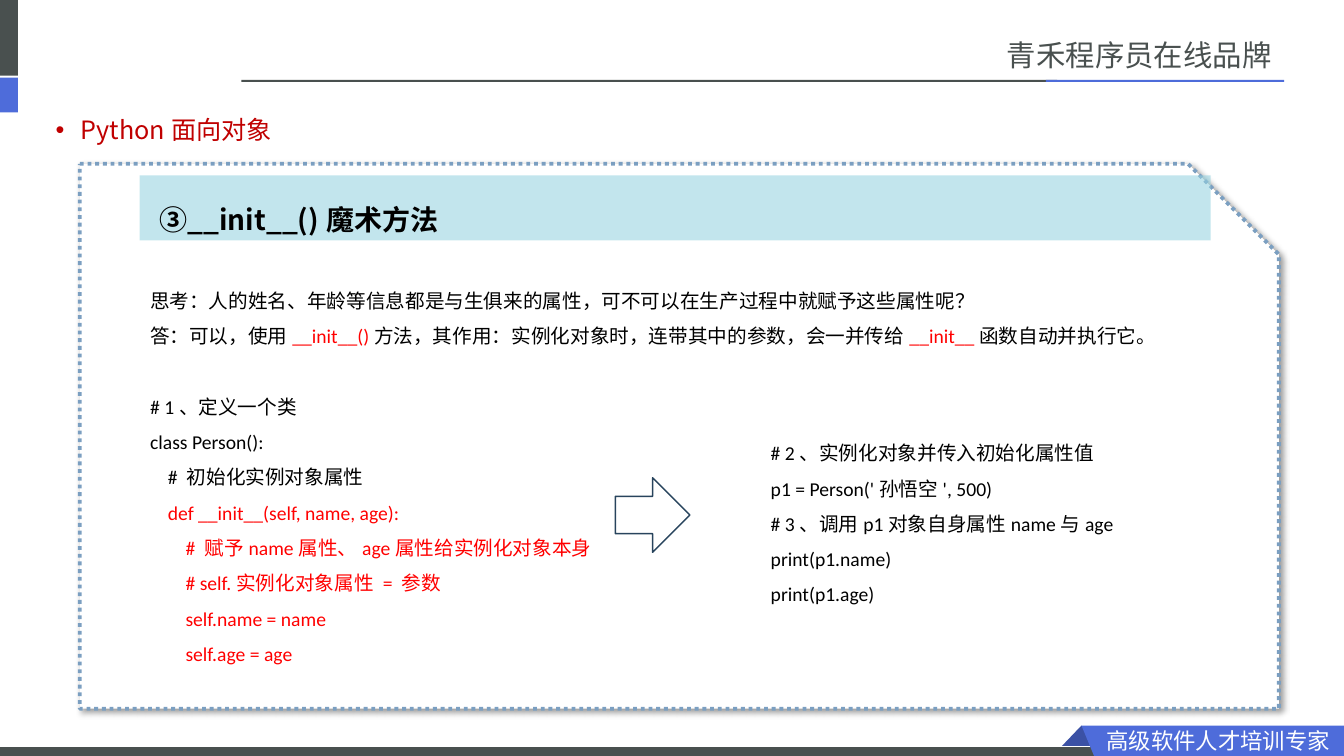
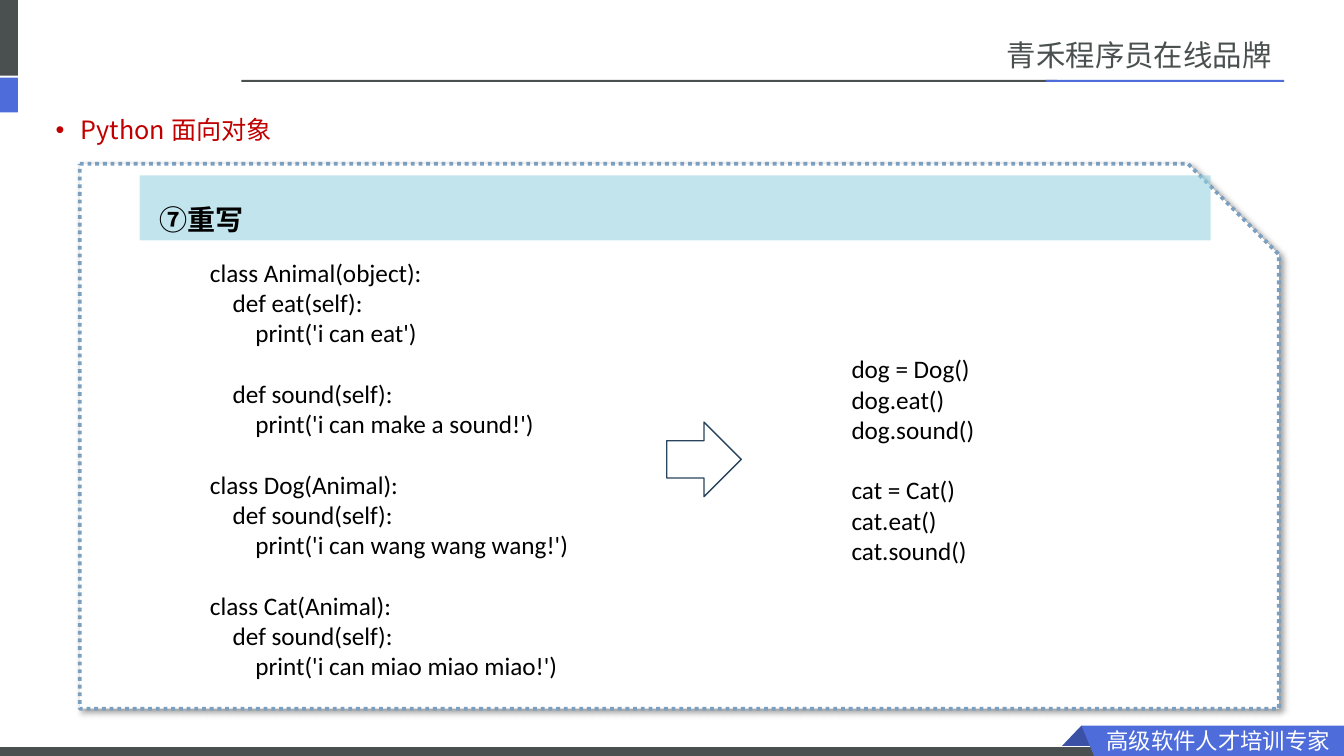
from dataclasses import dataclass

from lxml import etree
from pptx import Presentation
from pptx import util as u
from pptx.dml.color import RGBColor
from pptx.enum import dml, shapes, text
from pptx.oxml.ns import qn

PX = 9525


@dataclass(frozen=True)
class Theme:
    grey: str = "49504F"
    blue: str = "4E6CDA"
    fold: str = "3B51A5"
    frame: str = "7B9FC1"
    band: str = "94D2E0"
    arrow: str = "28445D"
    topic: str = "C00000"
    accent: str = "FF0000"
    black: str = "000000"
    white: str = "FFFFFF"
    sans: str = "Noto Sans CJK SC"
    topic_font: str = "Noto Sans CJK JP"
    code: str = "Calibri"
    footer_size: int = 16
    brand_size: int = 21
    topic_size: int = 18
    heading_size: int = 20
    note_size: int = 14
    code_size: int = 18


THEME = Theme()


def px(*lengths):
    return [u.Emu(length * PX) for length in lengths]


def assign(target, **values):
    for name, value in values.items():
        setattr(target, name, value)


def child(parent, tag, **attributes):
    return etree.SubElement(parent, qn(tag), {k: str(v) for k, v in attributes.items()})


def paint(shape, fill, line=None, width=1):
    shape.shadow.inherit = False
    shape.fill.solid()
    shape.fill.fore_color.rgb = RGBColor.from_string(fill)
    if line:
        shape.line.color.rgb = RGBColor.from_string(line)
        shape.line.width = u.Pt(width)
    else:
        shape.line.fill.background()
    return shape


def add_preset(page, kind, bounds, fill, line=None, width=1):
    return paint(page.shapes.add_shape(kind, *px(*bounds)), fill, line, width)


def add_rect(page, bounds, fill, line=None, width=1):
    return add_preset(page, shapes.MSO_SHAPE.RECTANGLE, bounds, fill, line, width)


def add_polygon(page, points, fill):
    builder = page.shapes.build_freeform(*points[0], scale=PX)
    builder.add_line_segments(points[1:], close=True)
    return paint(builder.convert_to_shape(), fill)


def add_span(para, content, size, colour, latin, bold=False):
    span = para.add_run()
    span.text = content
    assign(span.font, size=u.Pt(size), name=latin, bold=bold)
    span.font.color.rgb = RGBColor.from_string(colour)
    east_asian = THEME.sans if latin == THEME.code else latin
    child(span._r.get_or_add_rPr(), "a:ea", typeface=east_asian)


def add_box(page, bounds, side_inset=10):
    frame = page.shapes.add_textbox(*px(*bounds)).text_frame
    side, edge = px(side_inset, 5)
    assign(frame, word_wrap=True, vertical_anchor=text.MSO_ANCHOR.TOP,
           margin_left=side, margin_right=side, margin_top=edge, margin_bottom=edge)
    return frame


def add_label(page, bounds, content, size, colour, spacing, side_inset=5,
              font=THEME.sans, bold=False):
    """Add one line of text and return its paragraph."""
    para = add_box(page, bounds, side_inset).paragraphs[0]
    para.line_spacing = u.Pt(spacing)
    add_span(para, content, size, colour, font, bold)
    return para


def add_code(page, bounds, lines, size, leading):
    """Write lines of text or (text, colour) spans; an empty line becomes a gap."""
    frame = add_box(page, bounds)
    spacing = u.Pt(round(size * leading, 1))
    para, gap = None, 0
    for line in lines:
        if not line:
            gap = spacing
            continue
        para = frame.add_paragraph() if para else frame.paragraphs[0]
        assign(para, line_spacing=spacing, space_before=gap)
        gap = 0
        spans = [(line, THEME.black)] if isinstance(line, str) else line
        for content, colour in spans:
            add_span(para, content, size, colour, THEME.code)


def add_arrow(page, left, top):
    add_preset(page, shapes.MSO_SHAPE.RIGHT_ARROW, (left, top, 71, 71),
               THEME.white, THEME.arrow)


def add_alpha(colour_element, percent):
    child(colour_element, "a:alpha", val=percent * 1000)


def add_frame(page):
    """Add the dotted card with its soft shadow."""
    card = add_preset(page, shapes.MSO_SHAPE.SNIP_1_RECTANGLE, (76, 156, 1142, 519),
                      THEME.white, THEME.frame, 2.75)
    card.line.dash_style = dml.MSO_LINE.ROUND_DOT
    effects = card._element.spPr.find(qn("a:effectLst"))
    shadow = child(effects, "a:outerShdw", blurRad=u.Pt(4), dist=u.Pt(3),
                   dir=45 * 60000, algn="tl", rotWithShape=0)
    add_alpha(child(shadow, "a:srgbClr", val=THEME.black), 40)


def add_topic(page):
    para = add_label(page, (48, 106, 1123, 36), "Python面向对象", THEME.topic_size,
                     THEME.topic, 20, font=THEME.topic_font)
    properties = para._p.get_or_add_pPr()
    properties.set("marL", str(24 * PX))
    properties.set("indent", str(-24 * PX))
    child(properties, "a:buFont", typeface="Arial")
    child(properties, "a:buChar", char="•")


def add_furniture(page):
    """Add the side tabs, the header rule and the footer ribbon."""
    for bounds, fill in (((0, 0, 17, 72), THEME.grey),
                         ((230, 76, 777, 2), THEME.grey),
                         ((996, 76, 227, 2), THEME.blue),
                         ((0, 74, 17, 33), THEME.blue)):
        add_rect(page, bounds, fill)
    add_polygon(page, [(1030, 691), (1051, 713), (1009, 713)], THEME.fold)
    add_rect(page, (-1, 711, 1056, 12), THEME.grey, THEME.white, 0.75)
    add_polygon(page, [(1030, 691), (1280, 691), (1280, 720), (1042, 720)], THEME.blue)
    add_label(page, (1049, 686, 226, 34), "高级软件人才培训专家",
              THEME.footer_size, THEME.white, 20)
    add_label(page, (954, 28, 269, 43), "青禾程序员在线品牌",
              THEME.brand_size, THEME.grey, 27)


def add_page(deck, heading):
    page = deck.slides.add_slide(deck.slide_layouts[6])
    add_furniture(page)
    add_frame(page)
    add_topic(page)
    band = add_rect(page, (133, 167, 1020, 62), THEME.band)
    add_alpha(band._element.spPr.find(qn("a:solidFill"))[0], 56)
    add_label(page, (142, 178, 996, 68), heading, THEME.heading_size, THEME.black,
              31.4, side_inset=10, bold=True)
    return page


def add_init_page(deck):
    page = add_page(deck, "③__init__()魔术方法")
    black, red = THEME.black, THEME.accent
    constructor = (
        "    def __init__(self, name, age):",
        "        # 赋予name属性、age属性给实例化对象本身",
        "        # self.实例化对象属性 = 参数",
        "        self.name = name",
        "        self.age = age",
    )
    definition = [
        "思考：人的姓名、年龄等信息都是与生俱来的属性，可不可以在生产过程中就赋予这些属性呢？",
        [("答：可以，使用", black), ("__init__()", red),
         ("方法，其作用：实例化对象时，连带其中的参数，会一并传给", black),
         ("__init__", red), ("函数自动并执行它。", black)],
        "",
        "# 1、定义一个类",
        "class Person():",
        "    # 初始化实例对象属性",
        *([(line, red)] for line in constructor),
    ]
    usage = [
        "# 2、实例化对象并传入初始化属性值",
        "p1 = Person('孙悟空', 500)",
        "# 3、调用p1对象自身属性name与age",
        "print(p1.name)",
        "print(p1.age)",
    ]
    add_code(page, (133, 259, 1020, 379), definition, THEME.note_size, 1.8)
    add_code(page, (724, 404, 429, 176), usage, THEME.note_size, 1.8)
    add_arrow(page, 586, 455)


def add_override_page(deck):
    page = add_page(deck, "⑦重写")
    classes = [
        "class Animal(object):",
        "    def eat(self):",
        "        print('i can eat')",
        "",
        "    def sound(self):",
        "        print('i can make a sound!')",
        "",
        "class Dog(Animal):",
        "    def sound(self):",
        "        print('i can wang wang wang!')",
        "",
        "class Cat(Animal):",
        "    def sound(self):",
        "        print('i can miao miao miao!')",
    ]
    calls = [
        "dog = Dog()",
        "dog.eat()",
        "dog.sound()",
        "",
        "cat = Cat()",
        "cat.eat()",
        "cat.sound()",
    ]
    add_code(page, (190, 240, 397, 445), classes, THEME.code_size, 1.2)
    add_code(page, (801, 332, 262, 213), calls, THEME.code_size, 1.2)
    add_arrow(page, 635, 402)


def main():
    deck = Presentation()
    deck.slide_width, deck.slide_height = px(1280, 720)
    add_init_page(deck)
    add_override_page(deck)
    deck.save("out.pptx")


if __name__ == "__main__":
    main()
